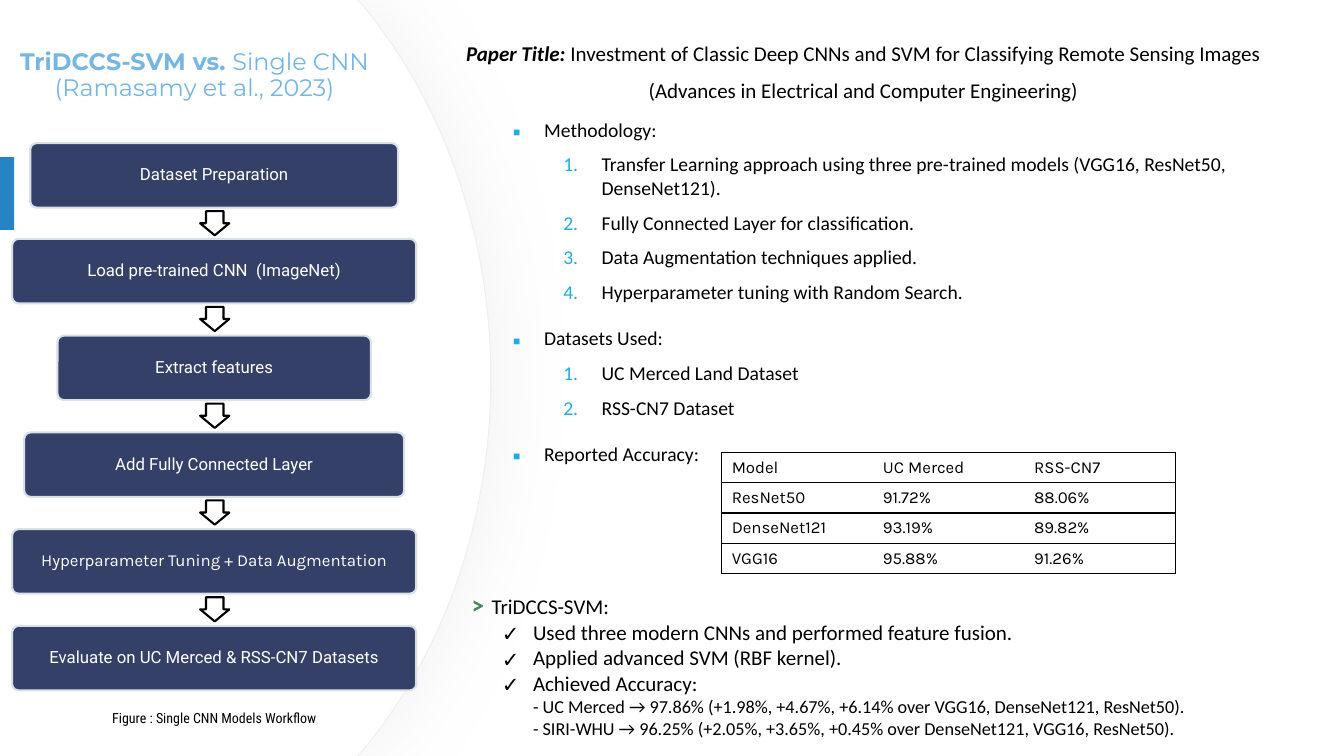
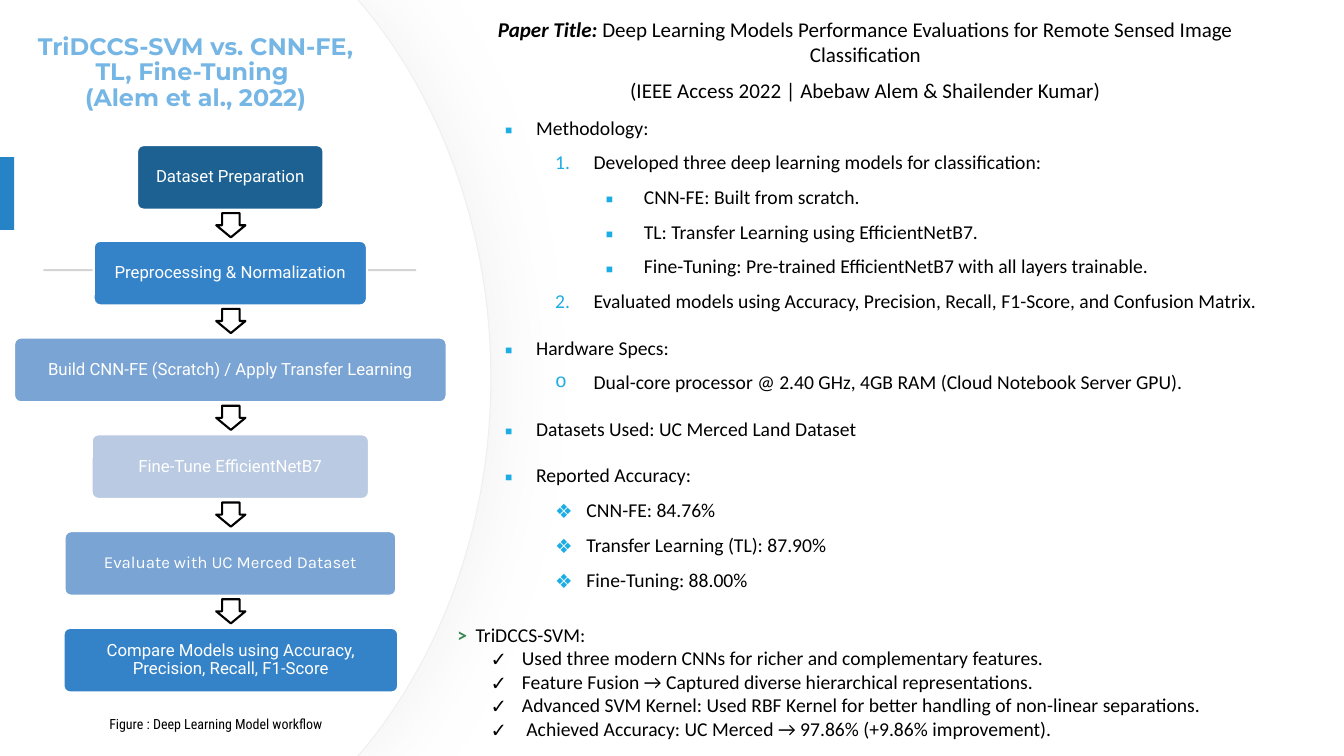
"""Build two slides comparing TriDCCS-SVM with published models."""
from copy import deepcopy
from typing import NamedTuple, Optional

from lxml import etree
from pptx import Presentation
from pptx import util as u
from pptx.dml.color import RGBColor
from pptx.enum import shapes, text
from pptx.oxml import ns

EMU_PER_PX = 9144
HEIGHT = 750
COLORS = {
    "white": "FFFFFF", "black": "000000", "title": "75B6E5", "tab": "2683C6",
    "divider": "D5D5D5", "arc": "EFEFEF", "shadow": "D9D9D9", "bullet": "1CADE4",
    "green": "3E8853", "navy": "344068", "pale": "D9E0E6", "deep": "1C6192",
    "blue": "3483C9", "soft": "7AA4D3", "mist": "BACAE2",
}
CENTER, MIDDLE = text.PP_ALIGN.CENTER, text.MSO_ANCHOR.MIDDLE


class Box(NamedTuple):
    left: int
    top: int
    width: int
    height: int


class Bullet(NamedTuple):
    mark: str
    level: int
    left: int
    hanging: int
    color: str = "bullet"
    spacing: Optional[float] = None
    after: int = 8
    font: str = "Noto Sans Symbols"


class Run(NamedTuple):
    text: str
    bold: bool = False
    italic: bool = False
    size: Optional[int] = None
    color: Optional[str] = None


class Line(NamedTuple):
    runs: tuple[Run, ...]
    bullet: Optional[Bullet] = None


class Step(NamedTuple):
    label: str
    width: int
    fill: str = "navy"
    font: str = "Roboto"


class Comparison(NamedTuple):
    title: tuple[Run, ...]
    title_box: Box
    steps: tuple[Step, ...]
    flow_center: int
    flow_top: int
    step_line: str
    caption: str
    caption_box: Box
    paper: tuple[Line, ...]
    paper_box: Box
    findings: tuple[Line, ...]
    findings_box: Box
    closing: tuple[Line, ...]
    closing_box: Box
    closing_size: int
    accuracy: tuple[tuple[str, ...], ...] = ()


HEAD = Bullet("▪", 0, 31, 31, spacing=1.5)
NUMBER = Bullet("", 1, 88, 38)
SQUARE = Bullet("▪", 2, 138, 38)
CIRCLE = Bullet("o", 1, 88, 38, font="Courier New")
DIAMOND = Bullet("❖", 1, 81, 31)
CHECK = Bullet("✓", 1, 81, 31, color="black", after=0)


def px(length: float) -> u.Emu:
    return u.Emu(round(length * EMU_PER_PX))


def rgb(name: str) -> RGBColor:
    return RGBColor.from_string(COLORS[name])


def items(bullet: Bullet, *labels: str) -> tuple[Line, ...]:
    return tuple(Line((Run(label),), bullet) for label in labels)


def paper_lines(name: str, venue: str) -> tuple[Line, ...]:
    return Line((Run("Paper Title: ", True, True), Run(name))), Line((Run(venue),))


def add_element(parent, tag: str, **attributes: str):
    return etree.SubElement(parent, ns.qn(tag), attributes)


def write(paragraph, content: str, *, size: int, font: str, color: str = "black",
          bold: bool = False, italic: bool = False) -> None:
    previous = None
    for part in content.split("\n"):
        if previous is not None:
            paragraph._p.add_br().append(deepcopy(previous._r.rPr))
        run = paragraph.add_run()
        run.text = part
        run.font.size, run.font.name = u.Pt(size), font
        run.font.bold, run.font.italic = bold, italic
        run.font.color.rgb = rgb(color)
        previous = run


def apply_bullet(paragraph, bullet: Bullet) -> None:
    paragraph.level, paragraph.space_after = bullet.level, u.Pt(bullet.after)
    paragraph.line_spacing = bullet.spacing
    properties = paragraph._p.get_or_add_pPr()
    properties.set("marL", str(px(bullet.left)))
    properties.set("indent", str(-px(bullet.hanging)))
    add_element(add_element(properties, "a:buClr"), "a:srgbClr", val=COLORS[bullet.color])
    if bullet.mark == "\t":
        add_element(properties, "a:buNone")
    elif bullet.mark:
        add_element(properties, "a:buFont", typeface=bullet.font)
        add_element(properties, "a:buChar", char=bullet.mark)
    else:
        add_element(properties, "a:buAutoNum", type="arabicPeriod")


def fill_frame(frame, lines: tuple[Line, ...], *, size: int, font: str, color: str = "black",
               align=None, anchor=text.MSO_ANCHOR.TOP, spacing: Optional[float] = None,
               after: int = 0, insets: tuple[int, int] = (10, 5)) -> None:
    frame.word_wrap, frame.auto_size = True, text.MSO_AUTO_SIZE.NONE
    frame.vertical_anchor = anchor
    frame.margin_left = frame.margin_right = px(insets[0])
    frame.margin_top = frame.margin_bottom = px(insets[1])
    for index, line in enumerate(lines):
        paragraph = frame.add_paragraph() if index else frame.paragraphs[0]
        paragraph.alignment, paragraph.line_spacing = align, spacing
        paragraph.space_after = u.Pt(after)
        if line.bullet:
            apply_bullet(paragraph, line.bullet)
        for run in line.runs:
            write(paragraph, run.text, size=run.size or size, font=font,
                  color=run.color or color, bold=run.bold, italic=run.italic)


def add_text(slide, box: Box, lines: tuple[Line, ...], **style) -> None:
    fill_frame(slide.shapes.add_textbox(*map(px, box)).text_frame, lines, **style)


def paint(shape, fill: str, line: Optional[str] = None, weight: float = 1.5) -> None:
    shape.shadow.inherit = False
    shape.fill.solid()
    shape.fill.fore_color.rgb = rgb(fill)
    if line:
        shape.line.color.rgb, shape.line.width = rgb(line), u.Pt(weight)
    else:
        shape.line.fill.background()


def add_block(slide, kind, box: Box, fill: str, line: Optional[str] = None):
    shape = slide.shapes.add_shape(kind, *map(px, box))
    paint(shape, fill, line)
    return shape


def add_arc_panel(slide, width: int, line: Optional[str] = None):
    curve = [(width - 48, 102), (width, 232), (width, HEIGHT / 2)]
    corner = [(width - 132, 0), (width - 125, 8)]
    mirrored = [(x, HEIGHT - y) for x, y in (corner + curve)[::-1]]
    outline = corner + [curve[-1]] + mirrored[-2:] + [(0, HEIGHT)]
    builder = slide.shapes.build_freeform(0, 0, scale=1.0)
    builder.add_line_segments([(px(x), px(y)) for x, y in outline])
    shape = builder.convert_to_shape()
    segments = shape._element.findall(f".//{ns.qn('a:lnTo')}")
    for segment, points in ((segments[2], curve), (segments[3], mirrored[1:4])):
        bezier = etree.Element(ns.qn("a:cubicBezTo"))
        for x, y in points:
            add_element(bezier, "a:pt", x=str(px(x)), y=str(px(y)))
        segment.getparent().replace(segment, bezier)
    paint(shape, "white", line, 0.75)
    return shape


def add_frame(slide) -> None:
    panel = add_arc_panel(slide, 487, "arc")
    effects = panel._element.spPr.find(ns.qn("a:effectLst"))
    shadow = add_element(effects, "a:outerShdw", blurRad=str(u.Pt(50)), dist=str(u.Pt(7)),
                         dir="0", algn="l", rotWithShape="0")
    color = add_element(shadow, "a:srgbClr", val=COLORS["shadow"])
    add_element(color, "a:alpha", val="30000")
    add_arc_panel(slide, 486)
    add_block(slide, shapes.MSO_SHAPE.RECTANGLE, Box(0, 156, 14, 72), "tab")
    add_block(slide, shapes.MSO_SHAPE.RECTANGLE, Box(43, 267, 370, 2), "divider")


def add_workflow(slide, comparison: Comparison) -> None:
    center, last = comparison.flow_center, len(comparison.steps) - 1
    for index, step in enumerate(comparison.steps):
        top = comparison.flow_top + index * 479 // last
        box = Box(center - (step.width + 1) // 2, top, step.width, 64)
        block = add_block(slide, shapes.MSO_SHAPE.ROUNDED_RECTANGLE, box, step.fill,
                          comparison.step_line)
        block.adjustments[0] = 0.1
        fill_frame(block.text_frame, (Line((Run(step.label),)),), size=12, font=step.font,
                   color="white", align=CENTER, anchor=MIDDLE, spacing=0.9, insets=(7, 7))
        if index < last:
            arrow = add_block(slide, shapes.MSO_SHAPE.RIGHT_ARROW,
                              Box(center - 12, top + 65, 24, 29), "white", "black")
            arrow.rotation = 90
            arrow.adjustments[0], arrow.adjustments[1] = 0.6, 0.5


def add_accuracy_table(slide, rows: tuple[tuple[str, ...], ...]) -> None:
    last = len(rows[0]) - 1
    box = Box(716, 449, 450, 30 * len(rows))
    table = slide.shapes.add_table(len(rows), last + 1, *map(px, box)).table
    table.first_row = table.horz_banding = False
    for row_index, row in enumerate(rows):
        for column, value in enumerate(row):
            cell = table.cell(row_index, column)
            ruled = {"L": column == 0, "R": column == last, "T": True, "B": True}
            for side, shown in ruled.items():
                border = add_element(cell._tc.get_or_add_tcPr(), f"a:ln{side}", w=str(u.Pt(1)))
                paint_tag = add_element(border, "a:solidFill" if shown else "a:noFill")
                if shown:
                    add_element(paint_tag, "a:srgbClr", val=COLORS["black"])
            cell.fill.solid()
            cell.fill.fore_color.rgb = rgb("white")
            cell.vertical_anchor = MIDDLE
            write(cell.text_frame.paragraphs[0], value, size=12, font="Karla")


def add_comparison(presentation, comparison: Comparison) -> None:
    slide = presentation.slides.add_slide(presentation.slide_layouts[5])
    add_frame(slide)
    title = slide.shapes.title
    slide.shapes._spTree.append(title._element)
    title.left, title.top, title.width, title.height = map(px, comparison.title_box)
    fill_frame(title.text_frame, (Line(comparison.title),), size=17, font="Montserrat",
               color="title", align=CENTER, anchor=MIDDLE, spacing=0.9, after=6)
    add_text(slide, comparison.caption_box, (Line((Run(comparison.caption),)),), size=10,
             font="Roboto Condensed", align=CENTER)
    add_workflow(slide, comparison)
    add_text(slide, comparison.paper_box, comparison.paper, size=15, font="Calibri",
             align=CENTER, anchor=MIDDLE, after=8, insets=(0, 5))
    add_text(slide, comparison.findings_box, comparison.findings, size=14, font="Calibri")
    add_text(slide, comparison.closing_box, comparison.closing, size=comparison.closing_size,
             font="Calibri")
    if comparison.accuracy:
        add_accuracy_table(slide, comparison.accuracy)


SINGLE_CNN = Comparison(
    (Run("TriDCCS-SVM vs. ", True), Run("Single CNN (Ramasamy et al., 2023)")), Box(6, 16, 374, 119),
    (Step("Dataset Preparation", 365), Step("Load pre-trained CNN  (ImageNet)", 401),
     Step("Extract features", 311), Step("Add Fully Connected Layer", 377),
     Step("Hyperparameter Tuning + Data Augmentation", 401, font="Karla"),
     Step("Evaluate on UC Merced & RSS-CN7 Datasets", 401)), 213, 142, "pale",
    "Figure : Single CNN Models Workflow", Box(89, 699, 247, 27),
    paper_lines("Investment of Classic Deep CNNs and SVM for Classifying Remote Sensing Images",
                "(Advances in Electrical and Computer Engineering)"), Box(435, 23, 843, 96),
    items(HEAD, "Methodology:")
    + items(NUMBER, "Transfer Learning approach using three pre-trained models (VGG16, ResNet50, "
            "DenseNet121).", "Fully Connected Layer for classification.",
            "Data Augmentation techniques applied.", "Hyperparameter tuning with Random Search.")
    + items(HEAD, "Datasets Used:") + items(NUMBER, "UC Merced Land Dataset", "RSS-CN7 Dataset")
    + items(HEAD, "Reported Accuracy:"), Box(499, 100, 768, 367),
    (Line((Run(">\t", True, size=18, color="green"), Run("TriDCCS-SVM:")),
          Bullet("\t", 0, 40, 20, after=0)),)
    + items(CHECK, "Used three modern CNNs and performed feature fusion.",
            "Applied advanced SVM (RBF kernel).")
    + (Line((Run("Achieved Accuracy:\n"), Run(
        "- UC Merced → 97.86% (+1.98%, +4.67%, +6.14% over VGG16, DenseNet121, ResNet50).\n"
        "- SIRI-WHU → 96.25% (+2.05%, +3.65%, +0.45% over DenseNet121, VGG16, ResNet50).",
        size=13)), CHECK),), Box(438, 580, 910, 160), 15,
    (("Model", "UC Merced", "RSS-CN7"), ("ResNet50", "91.72%", "88.06%"),
     ("DenseNet121", "93.19%", "89.82%"), ("VGG16", "95.88%", "91.26%")))
FINE_TUNING = Comparison(
    (Run("TriDCCS-SVM vs. CNN-FE, TL, Fine-Tuning \n(Alem et al., 2022)", True),), Box(7, 13, 374, 119),
    (Step("Dataset Preparation", 185, "deep"), Step("Preprocessing & Normalization", 271, "blue"),
     Step("Build CNN-FE (Scratch) / Apply Transfer Learning", 429, "soft"),
     Step("Fine-Tune EfficientNetB7", 275, "mist"),
     Step("Evaluate with UC Merced Dataset", 329, "soft", "Karla"),
     Step("Compare Models using Accuracy, Precision, Recall, F1-Score", 332, "blue")),
    229, 144, "white", "Figure : Deep Learning Model workflow", Box(64, 705, 300, 27),
    paper_lines("Deep Learning Models Performance Evaluations for Remote Sensed Image Classification",
                "(IEEE Access 2022 | Abebaw Alem & Shailender Kumar)"), Box(437, 11, 843, 96),
    items(HEAD, "Methodology:")
    + items(NUMBER, "Developed three deep learning models for classification:")
    + items(SQUARE, "CNN-FE: Built from scratch.", "TL: Transfer Learning using EfficientNetB7.",
            "Fine-Tuning: Pre-trained EfficientNetB7 with all layers trainable.")
    + items(NUMBER, "Evaluated models using Accuracy, Precision, Recall, F1-Score, and Confusion Matrix.")
    + items(HEAD, "Hardware Specs:")
    + items(CIRCLE, "Dual-core processor @ 2.40 GHz, 4GB RAM (Cloud Notebook Server GPU).")
    + items(HEAD, "Datasets Used: UC Merced Land Dataset", "Reported Accuracy:")
    + items(DIAMOND, "CNN-FE: 84.76%", "Transfer Learning (TL): 87.90%", "Fine-Tuning: 88.00%"),
    Box(491, 98, 768, 498),
    (Line((Run(">\t", True, color="green"), Run("TriDCCS-SVM:")),
          Bullet("\t", 0, 35, 18, spacing=1.5, after=0)),)
    + items(CHECK, "Used three modern CNNs for richer and complementary features.",
            "Feature Fusion → Captured diverse hierarchical representations.",
            "Advanced SVM Kernel: Used RBF Kernel for better handling of non-linear separations.",
            " Achieved Accuracy: UC Merced → 97.86% (+9.86% improvement)."),
    Box(427, 601, 910, 140), 14)

presentation = Presentation()
presentation.slide_width, presentation.slide_height = u.Emu(12192000), px(HEIGHT)
for comparison in (SINGLE_CNN, FINE_TUNING):
    add_comparison(presentation, comparison)
presentation.save("out.pptx")
